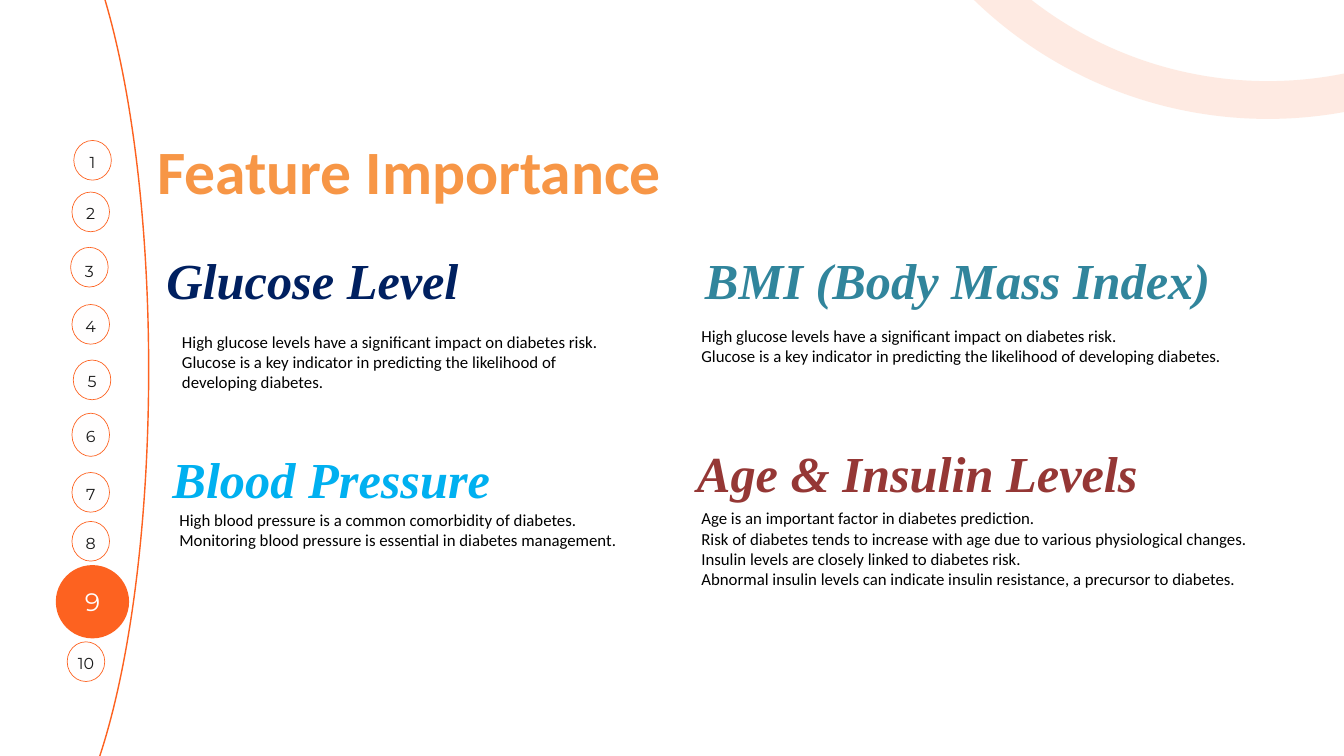
import pptx
import pptx.util
import pptx.dml.color
import pptx.enum.shapes
import pptx.enum.text
import pptx.oxml
import pptx.oxml.ns
from pptx.util import Cm, Pt

COLOURS = {
    "orange": "FD6220", "paper": "FFFEFE", "number": "191919", "title": "F79646",
    "body": "000000", "navy": "002060", "teal": "31859C", "sky": "00B0F0", "maroon": "953735",
}
ALIGN = pptx.enum.text.PP_ALIGN

# number: (left, top, width, height, label shift), in cm
MARKERS = {
    1: (2.79, 5.31, 1.42, 1.5, 0),
    2: (2.72, 7.26, 1.42, 1.5, 0),
    3: (2.67, 9.35, 1.42, 1.5, 0.09),
    4: (2.72, 11.51, 1.42, 1.5, 0),
    5: (2.77, 13.61, 1.42, 1.5, 0),
    6: (2.72, 15.62, 1.42, 1.63, 0),
    7: (2.72, 17.86, 1.42, 1.5, 0),
    8: (2.72, 19.71, 1.42, 1.5, 0),
    9: (2.11, 21.36, 2.77, 2.77, -0.11),
    10: (2.54, 24.26, 1.42, 1.5, 0),
}
CURRENT = 9

GLUCOSE_LINES = [
    "High glucose levels have a significant impact on diabetes risk.",
    "Glucose is a key indicator in predicting the likelihood of developing diabetes.",
]
# heading, colour, heading box, body box relative to the heading box, lines
TOPICS = [
    ("Glucose Level", "navy", (4.45, 9.3, 14.73, 2.57), (2.18, 3.1, 17.5, 2.57), GLUCOSE_LINES),
    ("BMI (Body Mass Index)", "teal", (26.04, 9.3, 20.32, 2.57), (0.22, 2.87, 20.32, 1.8),
     GLUCOSE_LINES),
    ("Blood Pressure", "sky", (3.05, 16.81, 18.95, 2.57), (3.48, 2.34, 17.78, 1.8), [
        "High blood pressure is a common comorbidity of diabetes.",
        "Monitoring blood pressure is essential in diabetes management.",
    ]),
    ("Age & Insulin Levels", "maroon", (23.29, 16.59, 22.78, 2.57), (2.97, 2.49, 22.78, 4.11), [
        "Age is an important factor in diabetes prediction.",
        "Risk of diabetes tends to increase with age due to various physiological changes.",
        "Insulin levels are closely linked to diabetes risk.",
        "Abnormal insulin levels can indicate insulin resistance, a precursor to diabetes.",
    ]),
]


def colour(name):
    return pptx.dml.color.RGBColor.from_string(COLOURS[name])


def style(para, font, size, shade, bold=False, italic=False, align=ALIGN.LEFT, spacing=None):
    para.font.name, para.font.size = font, Pt(size)
    para.font.bold, para.font.italic = bold, italic
    para.font.color.rgb = colour(shade)
    para.alignment = align
    if spacing:
        para.line_spacing = Pt(spacing)


def add_oval(page, box, fill=None, line_width=None):
    oval = page.shapes.add_shape(pptx.enum.shapes.MSO_SHAPE.OVAL, *map(Cm, box))
    oval.shadow.inherit = False
    if fill:
        oval.fill.solid()
        oval.fill.fore_color.rgb = colour(fill)
    else:
        oval.fill.background()
    if line_width:
        oval.line.color.rgb = colour("orange")
        oval.line.width = Pt(line_width)
    else:
        oval.line.fill.background()
    return oval


def add_text(page, box, lines, **look):
    frame = page.shapes.add_textbox(*map(Cm, box)).text_frame
    frame.word_wrap = True
    frame.text = "\n".join(lines)
    for para in frame.paragraphs:
        style(para, **look)


def add_background(page):
    """Draw the long arc on the left and the pale ring in the top right corner."""
    add_oval(page, (-4.11, -4.65, 9.73, 37.24), line_width=1.5)
    ring = add_oval(page, (32.66, -26.75, 30.53, 30.53), line_width=40.5)
    shade = ring.line.fill._xPr.find(".//" + pptx.oxml.ns.qn("a:srgbClr"))
    shade.append(pptx.oxml.parse_xml(
        f'<a:alpha {pptx.oxml.ns.nsdecls("a")} val="12000"/>'))


def add_marker(page, number, box, shift):
    """Draw a page number in a circle; shift moves the label down from the middle."""
    current = number == CURRENT
    if current:
        oval = add_oval(page, box, fill="orange")
    else:
        oval = add_oval(page, box, fill="paper", line_width=0.75)
    frame = oval.text_frame
    frame.word_wrap = False
    frame.vertical_anchor = pptx.enum.text.MSO_ANCHOR.MIDDLE
    frame.margin_left = frame.margin_right = 0
    frame.margin_top = Cm(max(0, 2 * shift))
    frame.margin_bottom = Cm(max(0, -2 * shift))
    frame.text = str(number)
    style(frame.paragraphs[0], "Montserrat", 27 if current else 17,
          "paper" if current else "number", align=ALIGN.CENTER,
          spacing=37.8 if current else 23.8)


def add_topic(page, heading, shade, box, body, lines):
    add_text(page, box, [heading], font="Times New Roman", size=54, shade=shade,
             bold=True, italic=True, align=ALIGN.CENTER)
    body_box = (box[0] + body[0], box[1] + body[1], *body[2:])
    add_text(page, body_box, lines, font="Calibri", size=18, shade="body")


def main():
    deck = pptx.Presentation()
    deck.slide_width, deck.slide_height = Cm(50.8), Cm(28.575)
    page = deck.slides.add_slide(deck.slide_layouts[6])
    add_background(page)
    add_text(page, (5.69, 2.29, 42.75, 8.53), ["Feature Importance"], font="Calibri",
             size=66, shade="title", bold=True, spacing=152.7)
    for number, (*box, shift) in MARKERS.items():
        add_marker(page, number, box, shift)
    for topic in TOPICS:
        add_topic(page, *topic)
    deck.save("out.pptx")


if __name__ == "__main__":
    main()
